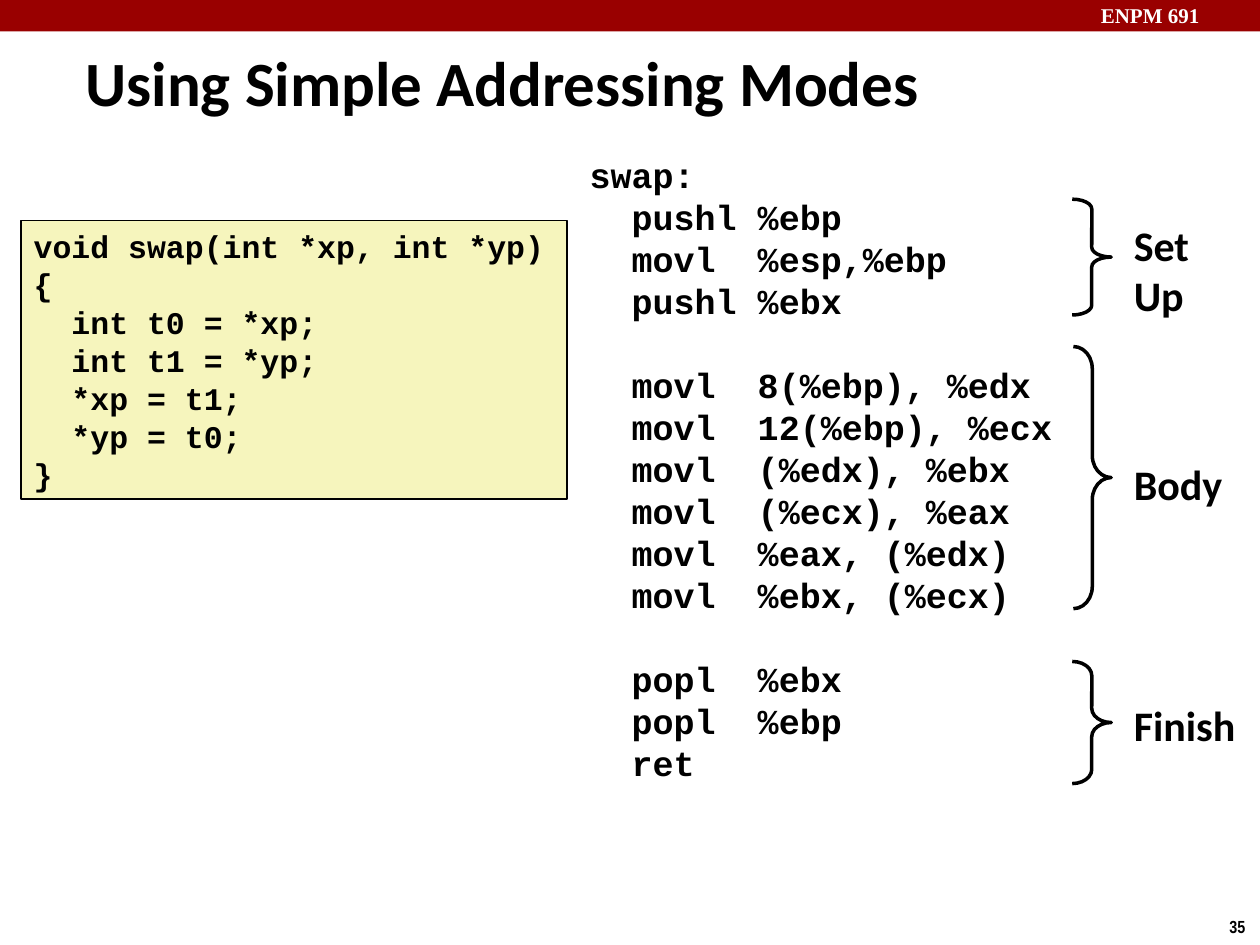
from dataclasses import dataclass

from pptx import Presentation
from pptx import util as u
from pptx.dml.color import RGBColor
from pptx.enum import shapes, text

COLORS = {"banner": "990000", "code": "F6F5BD", "ink": "000000", "paper": "FFFFFF"}

C_CODE = """void swap(int *xp, int *yp)
{
  int t0 = *xp;
  int t1 = *yp;
  *xp = t1;
  *yp = t0;
}"""

# Blocks of assembly are set apart by one line of space
ASSEMBLY_BLOCKS = [
    """swap:
  pushl %ebp
  movl  %esp,%ebp
  pushl %ebx""",
    """  movl  8(%ebp), %edx
  movl  12(%ebp), %ecx
  movl  (%edx), %ebx
  movl  (%ecx), %eax
  movl  %eax, (%edx)
  movl  %ebx, (%ecx)""",
    """  popl  %ebx
  popl  %ebp
  ret""",
]


@dataclass
class Box:
    left: float
    top: float
    width: float
    height: float

    def lengths(self) -> list:
        return [u.Pt(n) for n in (self.left, self.top, self.width, self.height)]


@dataclass
class Style:
    font: str
    size: float
    color: str = "ink"
    pitch: float | None = None


@dataclass
class Stage:
    label: str
    label_box: Box
    brace_box: Box
    curl: float


LABEL = Style("Calibri", 24)
STAGES = [
    Stage("Set\nUp", Box(640.8, 121.7, 46.8, 65.5), Box(612.7, 113.8, 22.3, 66.2), 0.25),
    Stage("Body", Box(640.8, 258.5, 65.5, 36), Box(613.4, 198, 21.6, 149.8), 0.585),
    Stage("Finish", Box(640.8, 396, 73.4, 36), Box(612.7, 378, 22.3, 69.8), 0.362),
]


def color(name: str) -> RGBColor:
    return RGBColor.from_string(COLORS[name])


def write(shape, blocks: list[str], style: Style, wrap: bool = True) -> None:
    """Fill a shape with one paragraph per line, with a line of space between blocks."""
    frame = shape.text_frame
    frame.word_wrap = wrap
    frame.vertical_anchor = text.MSO_ANCHOR.TOP
    frame.text = "\n".join(blocks)
    paragraphs = iter(frame.paragraphs)
    for block_number, block in enumerate(blocks):
        for line_number, _ in enumerate(block.split("\n")):
            paragraph = next(paragraphs)
            paragraph.alignment = text.PP_ALIGN.LEFT
            if style.pitch:
                paragraph.line_spacing = u.Pt(style.pitch)
                if block_number and not line_number:
                    paragraph.space_before = u.Pt(style.pitch)
            paragraph.font.name = style.font
            paragraph.font.size = u.Pt(style.size)
            paragraph.font.bold = True
            paragraph.font.color.rgb = color(style.color)


def add_text(slide, box: Box, blocks: list[str], style: Style, wrap: bool = True):
    shape = slide.shapes.add_textbox(*box.lengths())
    write(shape, blocks, style, wrap)
    return shape


def add_rectangle(slide, box: Box, fill: str, line: str | None = None):
    shape = slide.shapes.add_shape(shapes.MSO_SHAPE.RECTANGLE, *box.lengths())
    shape.shadow.inherit = False
    shape.fill.solid()
    shape.fill.fore_color.rgb = color(fill)
    if line:
        shape.line.color.rgb = color(line)
        shape.line.width = u.Pt(1)
    else:
        shape.line.fill.background()
    return shape


def add_stage(slide, stage: Stage) -> None:
    brace = slide.shapes.add_shape(shapes.MSO_SHAPE.RIGHT_BRACE, *stage.brace_box.lengths())
    brace.shadow.inherit = False
    brace.fill.background()
    brace.line.color.rgb = color("ink")
    brace.line.width = u.Pt(2)
    brace.adjustments[0] = stage.curl
    brace.adjustments[1] = 0.5
    add_text(slide, stage.label_box, [stage.label], LABEL, wrap=False)


def main() -> None:
    presentation = Presentation()
    presentation.slide_width, presentation.slide_height = u.Pt(720), u.Pt(540)
    slide = presentation.slides.add_slide(presentation.slide_layouts[6])

    # Banner, course name and page number
    add_rectangle(slide, Box(0, 0, 720, 18), "banner")
    add_text(slide, Box(622, -2, 103, 21.6), ["ENPM 691"], Style("Times New Roman", 12, "paper"))
    add_text(slide, Box(695.5, 519.8, 24.5, 19.4), ["35"], Style("Arial Narrow", 10), wrap=False)

    # Title
    title = add_text(slide, Box(41.8, 23.8, 603.4, 45.4), ["Using Simple Addressing Modes"],
                     Style("Calibri", 36))
    title.text_frame.vertical_anchor = text.MSO_ANCHOR.MIDDLE

    # C source
    source = add_rectangle(slide, Box(12.2, 126, 311.8, 159.1), "code", "ink")
    write(source, [C_CODE], Style("Courier New", 18, pitch=21.7))

    # Assembly with its three stages
    for stage in STAGES:
        add_stage(slide, stage)
    add_text(slide, Box(329.8, 84.2, 329.8, 370.8), ASSEMBLY_BLOCKS,
             Style("Courier New", 20, pitch=24))

    presentation.save("out.pptx")


if __name__ == "__main__":
    main()
